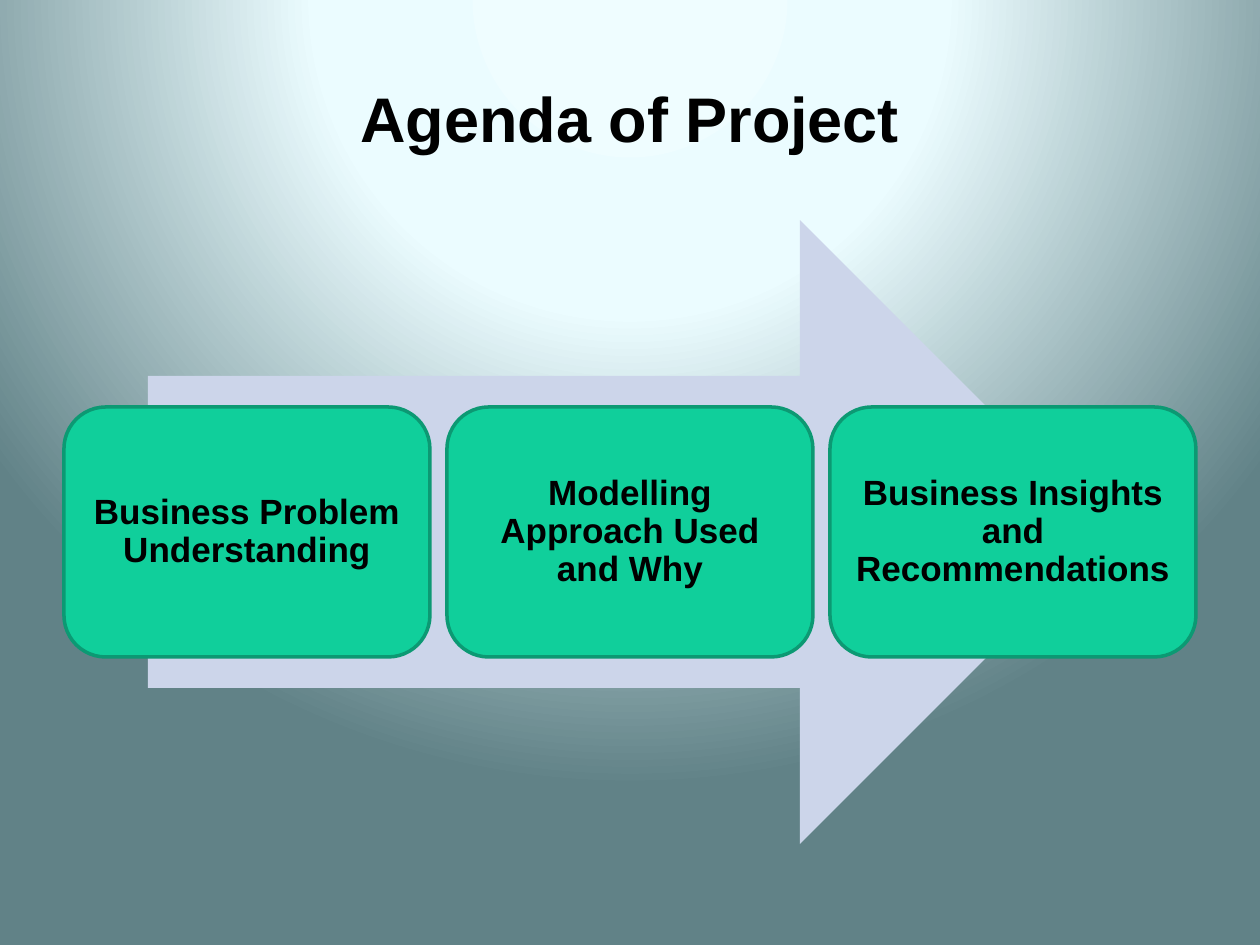
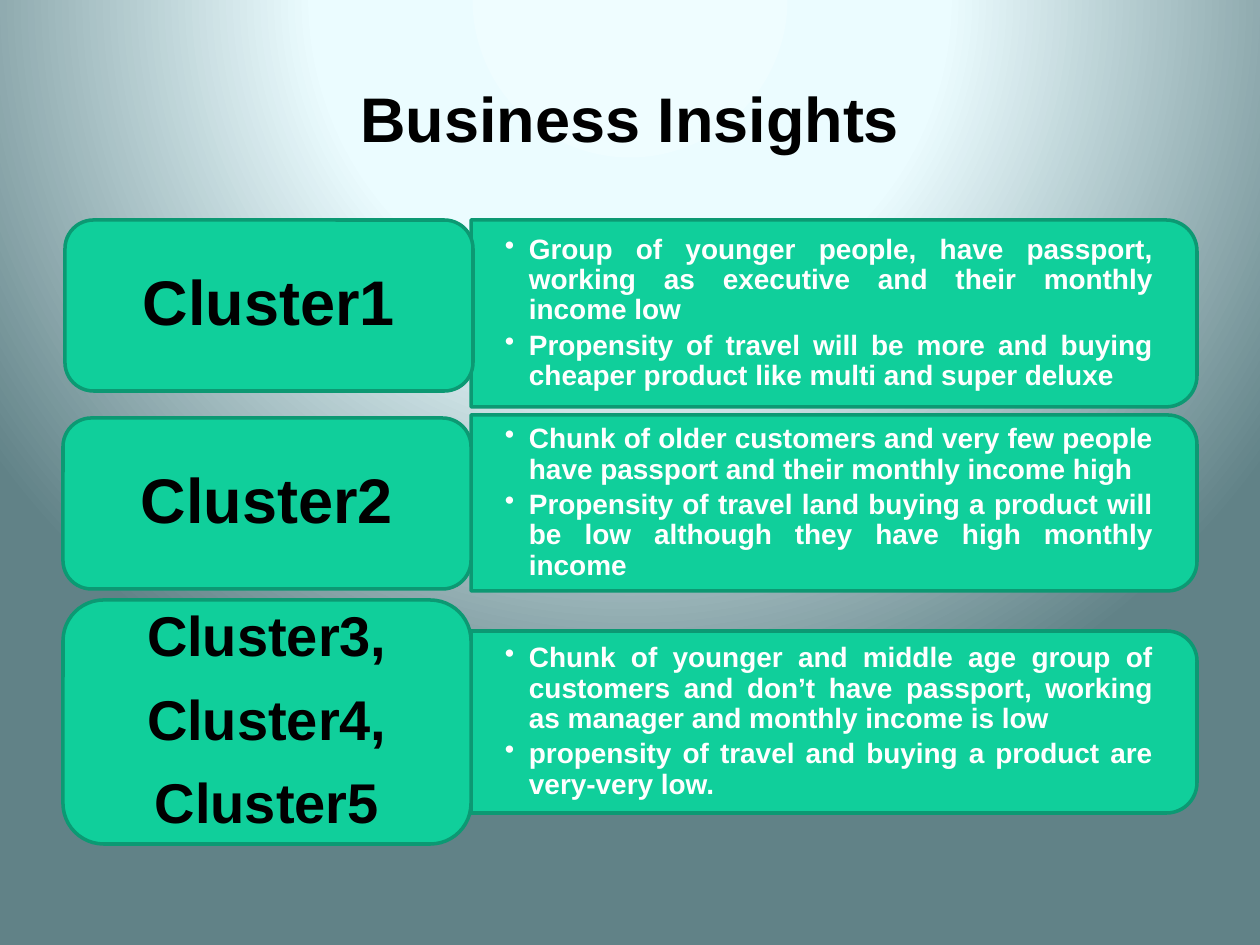
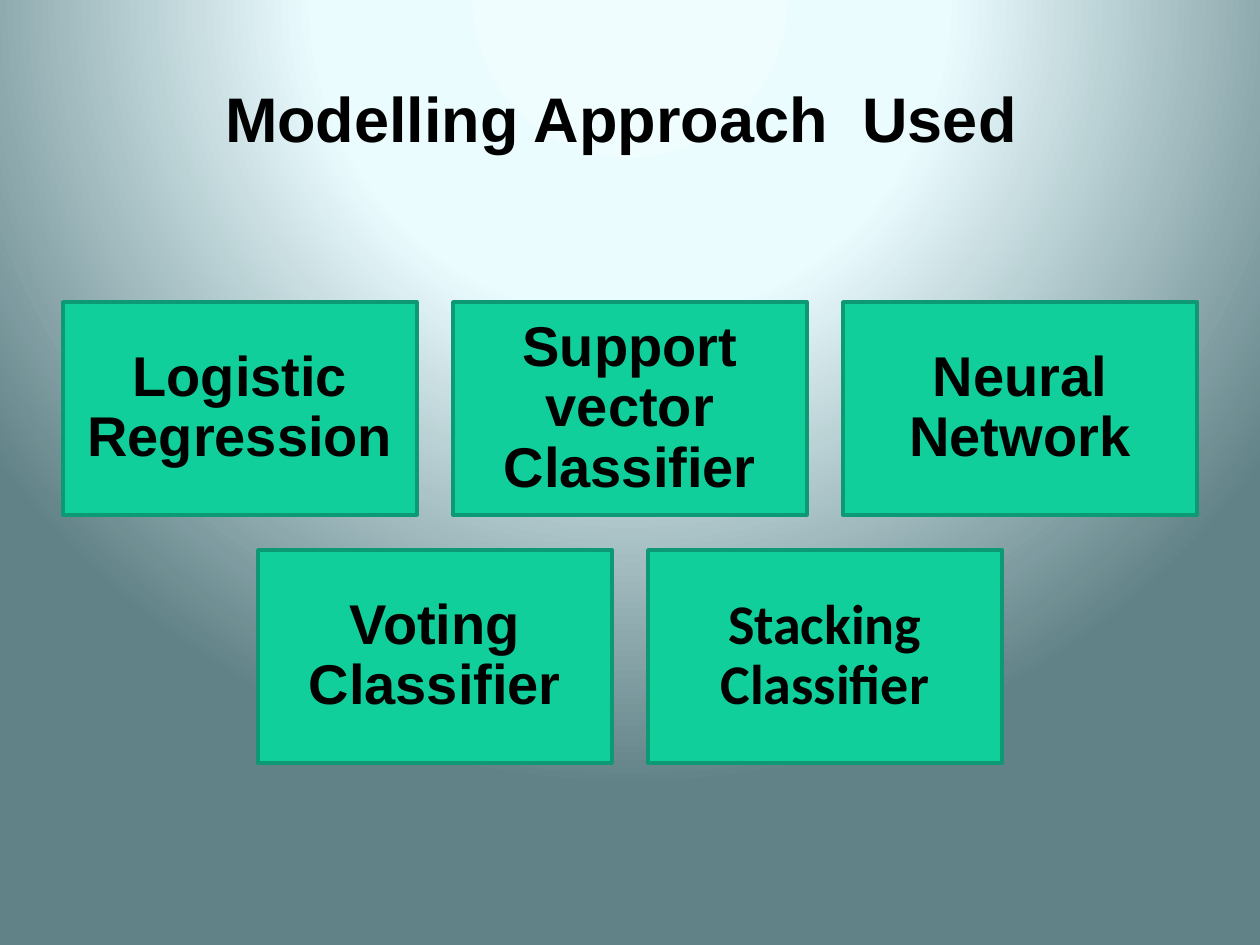
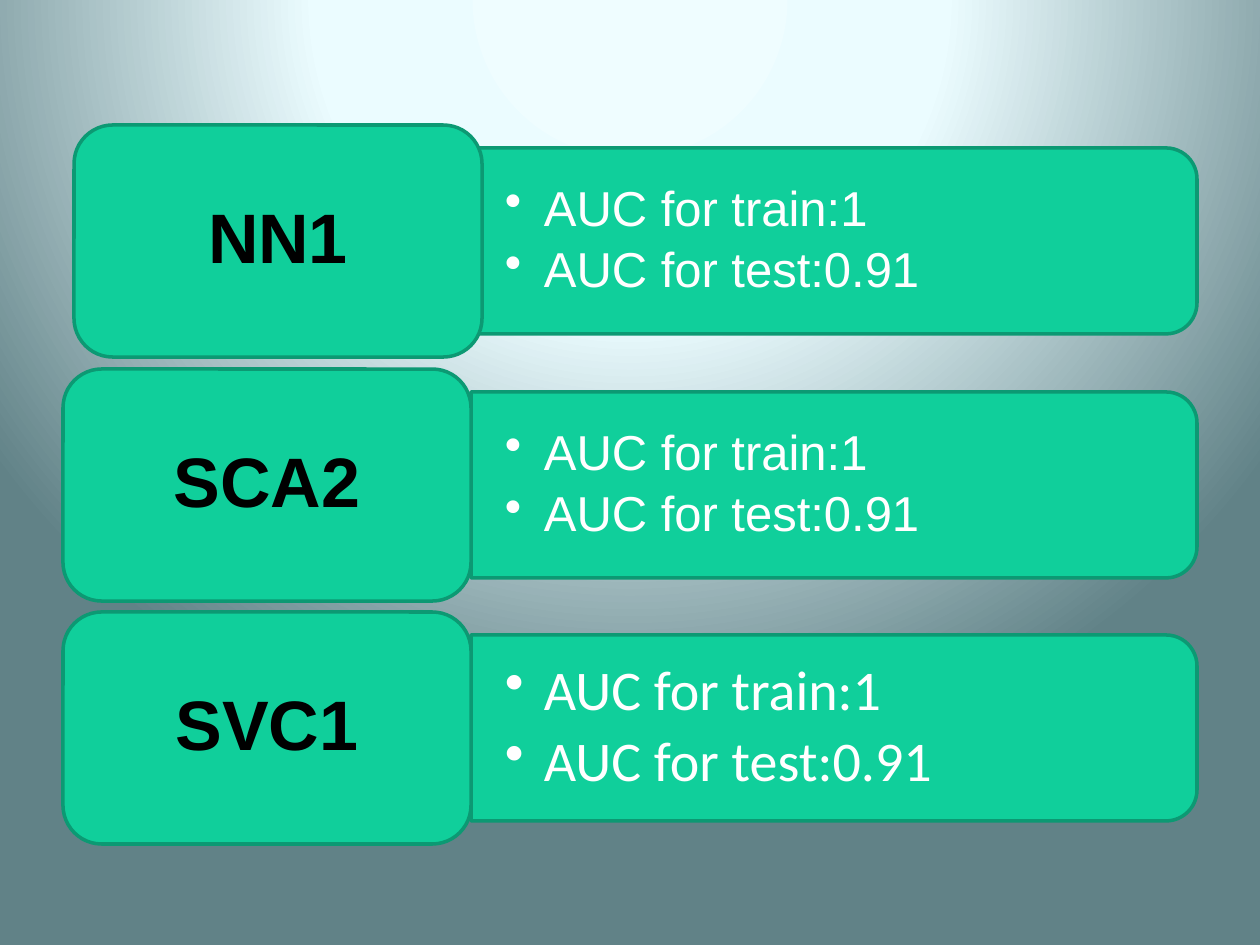
from pptx import Presentation
from pptx.dml.color import RGBColor
from pptx.enum.shapes import MSO_SHAPE
from pptx.enum.text import MSO_ANCHOR, PP_ALIGN
from pptx.oxml import parse_xml
from pptx.oxml.ns import nsdecls, qn
from pptx.util import Emu, Pt

PX = 914400 / 126
COLORS = {"green": "10CF9B", "edge": "0C9973", "arrow": "CCD5EA",
          "black": "000000", "white": "FFFFFF",
          "glow": "EFFDFF", "pale": "EBFCFF", "slate": "618287"}
WIDTH, HEIGHT = 1260, 945

HEADING = {"size": 36, "color": "black", "bold": True, "spacing": None}
LABEL = {"size": 36, "color": "black", "bold": True, "after": 0.35}
BULLETS = {"size": 16, "color": "white", "bold": True, "after": 0.15,
           "align": PP_ALIGN.JUSTIFY, "indent": 24, "inset": (34, 18)}
SCORES = {**BULLETS, "size": 28, "bold": False, "align": PP_ALIGN.LEFT, "indent": 39}


def add_box(slide, kind, left, top, width, height, fill="green", edge="edge"):
    sp = slide.shapes.add_shape(
        kind, *(Emu(round(v * PX)) for v in (left, top, width, height)))
    sp.shadow.inherit = False
    sp.fill.solid()
    sp.fill.fore_color.rgb = RGBColor.from_string(COLORS[fill])
    if edge:
        sp.line.color.rgb = RGBColor.from_string(COLORS[edge])
        sp.line.width = Pt(2)
    else:
        sp.line.fill.background()
    return sp


def write(sp, lines, size, color, bold, align=PP_ALIGN.CENTER, font="Arial",
          inset=(13, 6), indent=0, spacing=0.9, after=0):
    """Fill a shape with paragraphs; after is a share of the line height."""
    tf = sp.text_frame
    x, y = (Emu(round(v * PX)) for v in inset)
    frame = {"word_wrap": True, "vertical_anchor": MSO_ANCHOR.MIDDLE,
             "margin_left": x, "margin_right": x, "margin_top": y, "margin_bottom": y}
    for name, value in frame.items():
        setattr(tf, name, value)
    for i, line in enumerate(lines):
        p = tf.add_paragraph() if i else tf.paragraphs[0]
        p.alignment, p.line_spacing = align, spacing
        if after:
            p.space_after = Pt(round(size * 1.15 * after))
        r = p.add_run()
        r.text = line
        for name, value in {"name": font, "size": Pt(size), "bold": bold}.items():
            setattr(r.font, name, value)
        r.font.color.rgb = RGBColor.from_string(COLORS[color])
        if indent:
            p.level = 1
            pPr = p._p.get_or_add_pPr()
            pPr.set("marL", str(round(indent * PX)))
            pPr.set("indent", str(-round(indent * PX)))
            pPr.append(parse_xml(f'<a:buChar {nsdecls("a")} char="•"/>'))


prs = Presentation()
prs.slide_width, prs.slide_height = Emu(round(WIDTH * PX)), Emu(round(HEIGHT * PX))

# Shared background
master = prs.slide_master
master.background.fill.gradient()
grad = master.element.find(".//" + qn("a:gradFill"))
stops = "".join(
    f'<a:gs pos="{pos * 1000}"><a:srgbClr val="{COLORS[name]}"/></a:gs>'
    for pos, name in ((0, "glow"), (40, "pale"), (100, "slate")))
grad.getparent().replace(grad, parse_xml(
    f'<a:gradFill {nsdecls("a")} rotWithShape="1"><a:gsLst>{stops}</a:gsLst>'
    '<a:path path="circle">'
    '<a:fillToRect l="50000" t="-80000" r="50000" b="180000"/>'
    '</a:path></a:gradFill>'))

# Shared title position
title_layout, blank_layout = prs.slide_layouts[5], prs.slide_layouts[6]
title = title_layout.placeholders[0]
for name, value in {"left": 63, "top": 38, "width": 1134, "height": 158}.items():
    setattr(title, name, Emu(round(value * PX)))

slides = []
for heading in ("Agenda of Project", "Business Insights", "Modelling Approach  Used "):
    s = prs.slides.add_slide(title_layout)
    write(s.shapes.title, [heading], **HEADING)
    slides.append(s)
agenda, insights, models = slides
results = prs.slides.add_slide(blank_layout)

# Agenda: three steps on an arrow
add_box(agenda, MSO_SHAPE.RIGHT_ARROW, 148, 220, 964, 624, "arrow", None)
steps = ("Business Problem Understanding", "Modelling Approach Used and Why",
         "Business Insights and Recommendations")
for i, step in enumerate(steps):
    sp = add_box(agenda, MSO_SHAPE.ROUNDED_RECTANGLE, 64 + i * 383, 407, 366, 250)
    write(sp, [step], **{**LABEL, "size": 20, "inset": (10, 10)})

# Modelling approach: centred rows of cards
card_w, card_h, gap = 354, 213, 36
rows = (("Logistic Regression", "Support vector Classifier", "Neural Network"),
        ("Voting Classifier", "Stacking Classifier"))
for i, row in enumerate(rows):
    left = (WIDTH - len(row) * (card_w + gap) + gap) // 2
    for j, model in enumerate(row):
        sp = add_box(models, MSO_SHAPE.RECTANGLE, left + j * (card_w + gap),
                     302 + i * (card_h + gap - 1), card_w, card_h)
        font = "Calibri" if model.startswith("Stacking") else "Arial"
        write(sp, [model], **{**LABEL, "size": 32, "font": font, "inset": (16, 16)})

# Insights and results: a label with a bar of bullets beside it
# slide, label lines, label (left, top, height), label format,
# bullet lines, bar (top, height), bullet format
cluster = {**LABEL, "inset": (19, 9)}
score = {**LABEL, "size": 40, "inset": (21, 10)}
auc = ["AUC for train:1", "AUC for test:0.91"]
bands = [
    (insights, ["Cluster1"], (65, 220, 171), cluster,
     ["Group of younger people, have passport, working as executive and their "
      "monthly income low",
      "Propensity of travel will be more and buying cheaper product like multi and "
      "super deluxe"], (220, 187), BULLETS),
    (insights, ["Cluster2"], (63, 418, 171), cluster,
     ["Chunk of older customers and very few people have passport and their monthly "
      "income high",
      "Propensity of travel land buying a product will be low although they have high "
      "monthly income"], (415, 176), BULLETS),
    (insights, ["Cluster3,", "Cluster4,", "Cluster5"], (63, 600, 244),
     {**cluster, "size": 32, "inset": (16, 9)},
     ["Chunk of younger and middle age group of customers and don’t have passport, "
      "working as manager and monthly income is low",
      "propensity of travel and buying a product are very-very low."],
     (631, 182), BULLETS),
]
calibri_scores = {**SCORES, "size": 32, "font": "Calibri"}
for name, left, top, fmt in (("NN1", 74, 125, SCORES), ("SCA2", 63, 369, SCORES),
                             ("SVC1", 63, 612, calibri_scores)):
    bands.append((results, [name], (left, top, 232), score, auc, (top + 23, 186), fmt))

bar_left, bar_w, label_w = 471, 726, 408
for s, names, (left, top, height), label_fmt, points, (bar_top, bar_h), fmt in bands:
    # The bar is a tall shape turned a quarter about its centre
    turn = (bar_w - bar_h) / 2
    bar = add_box(s, MSO_SHAPE.ROUND_2_SAME_RECTANGLE,
                  bar_left + turn, bar_top - turn, bar_h, bar_w)
    bar.rotation = 90
    area = (bar_left, bar_top, bar_w - 10, bar_h)
    write(s.shapes.add_textbox(*(Emu(round(v * PX)) for v in area)), points, **fmt)
    sp = add_box(s, MSO_SHAPE.ROUNDED_RECTANGLE, left, top, label_w, height)
    write(sp, names, **label_fmt)

prs.save("out.pptx")
